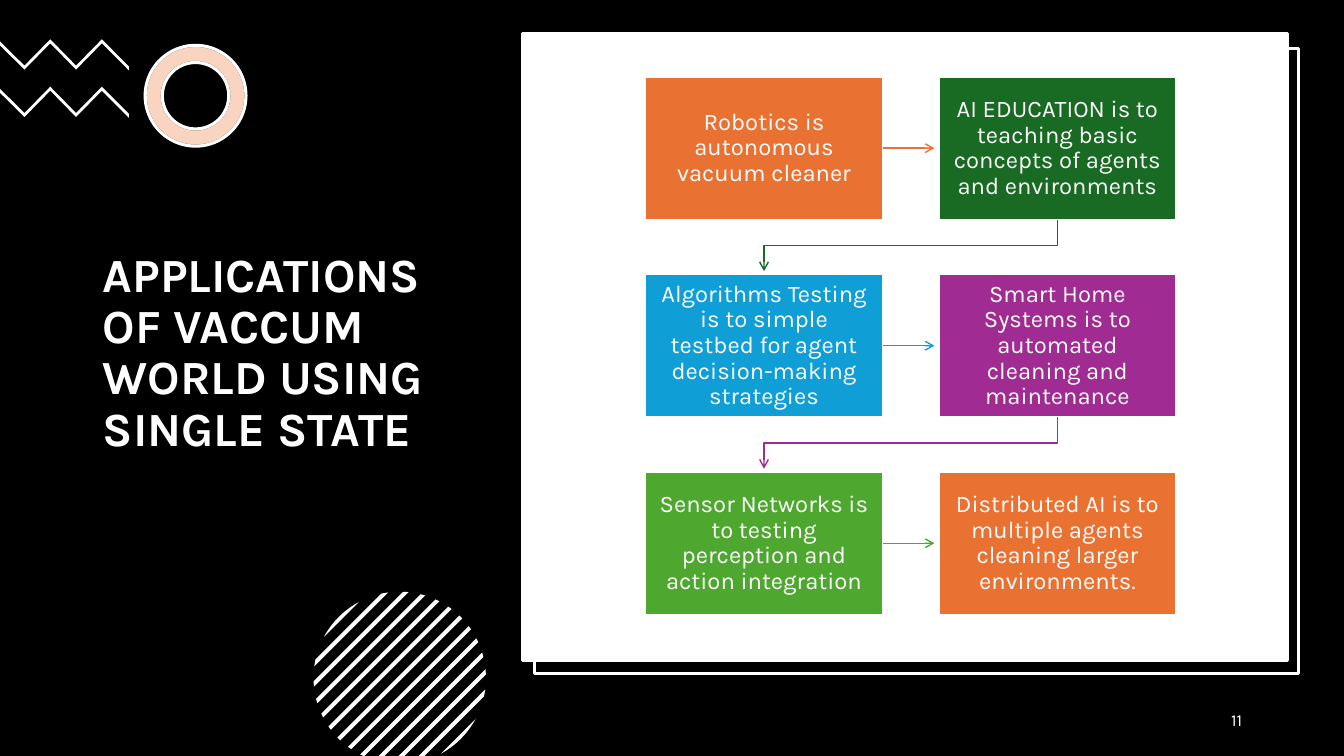
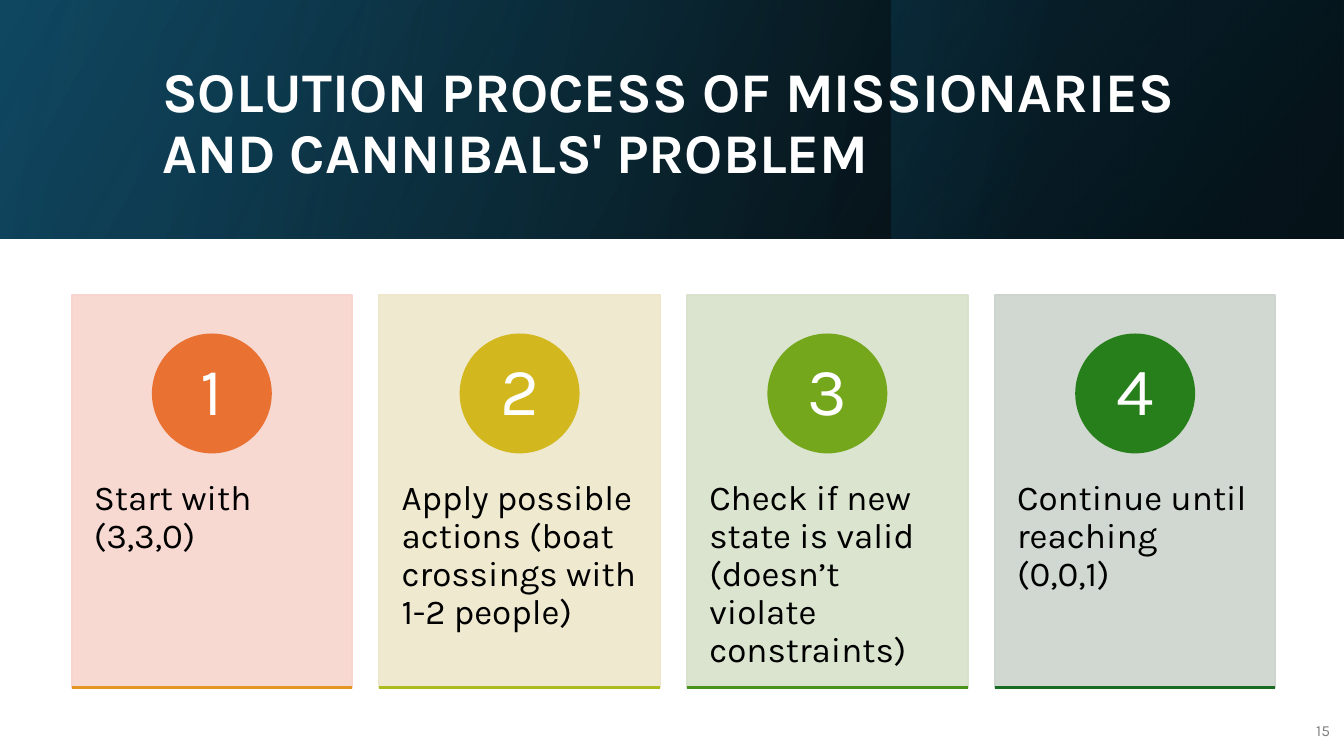
import math
from dataclasses import dataclass

import pptx
import pptx.dml.color
import pptx.enum.shapes
import pptx.enum.text
import pptx.oxml
import pptx.oxml.ns
import pptx.util

KIND = pptx.enum.shapes.MSO_SHAPE
LINE = pptx.enum.shapes.MSO_CONNECTOR
ALIGN = pptx.enum.text.PP_ALIGN
ANCHOR = pptx.enum.text.MSO_ANCHOR
NS = pptx.oxml.ns.nsdecls("a")


@dataclass(frozen=True)
class Theme:
    """Colours, font and type sizes of the deck."""
    font: str = "Karla"
    white: str = "FFFFFF"
    black: str = "000000"
    grey: str = "808080"
    orange: str = "E97132"
    green: str = "196B24"
    blue: str = "0F9ED5"
    purple: str = "A02B93"
    lime: str = "4EA72E"
    navy: str = "104862"
    teal: str = "156082"
    deep: str = "0B3041"
    tints: tuple = ("F7D5CE", "EEE7CB", "D8E2CA", "CCD4CD")
    dots: tuple = ("E97132", "D2B81E", "75A71D", "277F1B")
    bases: tuple = ("E49622", "ABBC1E", "49931D", "196B24")
    head: int = 34
    banner: int = 40
    step: int = 17
    card: int = 25
    count: int = 48
    foot: int = 12
    small: int = 11
    thick: float = 2.25
    edge: float = 1.5
    thin: float = 1


@dataclass(frozen=True)
class Box:
    """A rectangle in inches."""
    x: float
    y: float
    w: float
    h: float

    def share(self, x, y, w, h):
        """Return the box at the given shares of this one."""
        return Box(self.x + x * self.w, self.y + y * self.h, w * self.w, h * self.h)

    def cell(self, col, row, cols, rows, gapx=0, gapy=0):
        """Return one cell of an even grid in this box."""
        w = (self.w - gapx * (cols - 1)) / cols
        h = (self.h - gapy * (rows - 1)) / rows
        return Box(self.x + col * (w + gapx), self.y + row * (h + gapy), w, h)

    def emu(self):
        """Return left, top, width and height as lengths."""
        return [pptx.util.Inches(v) for v in (self.x, self.y, self.w, self.h)]


T = Theme()
PAGE = Box(0, 0, 13.33, 7.5)


def area(x, y, w, h):
    """Return a box given in percent of the slide."""
    return PAGE.share(x / 100, y / 100, w / 100, h / 100)


def rgb(code):
    """Return a colour from its hex code."""
    return pptx.dml.color.RGBColor.from_string(code)


def paint(shape, fill, line=None, width=T.edge, alpha=100):
    """Give a shape its fill, outline and opacity."""
    shape.shadow.inherit = False
    shape.fill.solid()
    shape.fill.fore_color.rgb = rgb(fill)
    if alpha < 100:
        tone = shape.element.spPr.find(".//" + pptx.oxml.ns.qn("a:srgbClr"))
        tone.append(pptx.oxml.parse_xml(f'<a:alpha {NS} val="{alpha * 1000}"/>'))
    if line:
        shape.line.color.rgb = rgb(line)
        shape.line.width = pptx.util.Pt(width)
    else:
        shape.line.fill.background()
    return shape


def block(slide, box, fill, line=None, width=T.edge, alpha=100, kind=KIND.RECTANGLE):
    """Add a filled preset shape."""
    return paint(slide.shapes.add_shape(kind, *box.emu()), fill, line, width, alpha)


def fade(slide, box, angle, stops):
    """Add a rectangle with a gradient of position, colour and opacity."""
    shape = block(slide, box, T.black)
    marks = "".join(
        f'<a:gs pos="{pos * 1000}"><a:srgbClr val="{code}">'
        f'<a:alpha val="{alpha * 1000}"/></a:srgbClr></a:gs>'
        for pos, code, alpha in stops)
    solid = shape.element.spPr.find(pptx.oxml.ns.qn("a:solidFill"))
    solid.getparent().replace(solid, pptx.oxml.parse_xml(
        f'<a:gradFill {NS}><a:gsLst>{marks}</a:gsLst>'
        f'<a:lin ang="{angle * 60000}" scaled="0"/></a:gradFill>'))


def poly(slide, points, fill):
    """Add a filled closed outline through points in inches."""
    first, *rest = [(pptx.util.Inches(x), pptx.util.Inches(y)) for x, y in points]
    form = slide.shapes.build_freeform(*first)
    form.add_line_segments(rest)
    paint(form.convert_to_shape(), fill)


def write(shape, text, size, color, align=ALIGN.LEFT, anchor=ANCHOR.MIDDLE,
          pad=(0.1, 0.05), bold=False):
    """Set and format the text of a shape."""
    frame = shape.text_frame
    frame.text = text
    frame.word_wrap = True
    frame.auto_size = pptx.enum.text.MSO_AUTO_SIZE.NONE
    frame.vertical_anchor = anchor
    frame.margin_left = frame.margin_right = pptx.util.Inches(pad[0])
    frame.margin_top = frame.margin_bottom = pptx.util.Inches(pad[1])
    para = frame.paragraphs[0]
    para.alignment = align
    para.line_spacing = 0.9
    font = para.runs[0].font
    font.name, font.size, font.bold = T.font, pptx.util.Pt(size), bold
    font.color.rgb = rgb(color)


def label(slide, box, *args, **kwargs):
    """Add a text box."""
    write(slide.shapes.add_textbox(*box.emu()), *args, **kwargs)


def title(slide, box, text, size):
    """Place the title above the shapes drawn so far."""
    head = slide.shapes.title
    head.left, head.top, head.width, head.height = box.emu()
    write(head, text, size, T.white, bold=True)
    slide.shapes.element.append(head.element)


def link(slide, kind, start, end, color, width, arrow=False):
    """Add a line, with an arrowhead if asked."""
    ends = [pptx.util.Inches(v) for v in (*start, *end)]
    line = slide.shapes.add_connector(kind, *ends)
    line.line.color.rgb = rgb(color)
    line.line.width = pptx.util.Pt(width)
    if arrow:
        line.element.spPr.find(pptx.oxml.ns.qn("a:ln")).append(
            pptx.oxml.parse_xml(f'<a:tailEnd {NS} type="arrow"/>'))
    line.element.spPr.append(pptx.oxml.parse_xml(f"<a:effectLst {NS}/>"))
    return line


def zigzag(slide, box):
    """Draw a white zigzag band."""
    top = [(0, 0.07), (0.19, 0.87), (0.39, 0), (0.59, 0.87), (0.79, 0), (1, 0.9)]
    low = [(x, y + 0.13) for x, y in reversed(top)]
    poly(slide, [(box.x + x * box.w, box.y + y * box.h) for x, y in top + low], T.white)


def ring(slide, box):
    """Draw a tinted ring on a white one."""
    for fill, line, alpha in ((T.white, T.black, 100), (T.orange, T.white, 30)):
        shape = block(slide, box, fill, line, T.thick, alpha, KIND.DONUT)
        shape.adjustments[0] = 0.17


def disc(slide, box):
    """Draw a disc of slanted stripes, cut at the foot of the slide."""
    rad = box.w / 2
    midx, midy = box.x + rad, box.y + rad

    def spot(turn):
        """Return a rim point, slid along its stripe onto the slide."""
        x = midx + rad * math.cos(turn)
        y = midy + rad * math.sin(turn)
        over = max(0, y - PAGE.h)
        return x + over, y - over

    for num in range(-6, 7):
        near, far = [
            math.acos(max(-1, min(1, (num * 0.14 + side) / rad)))
            for side in (-0.02, 0.02)]
        arc = [near + (far - near) * i / 6 for i in range(7)]
        turns = arc + [-a for a in reversed(arc)]
        poly(slide, [spot(math.pi / 4 + a) for a in turns], T.white)


def flow(slide, box, steps):
    """Draw steps in two columns, joined by arrows in reading order."""
    gapx, gapy = 0.55, 0.54
    cells = [box.cell(i % 2, i // 2, 2, 3, gapx, gapy) for i in range(len(steps))]
    for i, (cell, (text, color)) in enumerate(zip(cells, steps)):
        shape = block(slide, cell, color, T.white)
        write(shape, text, T.step, T.white, ALIGN.CENTER, pad=(0.12, 0.12))
        if i == len(steps) - 1:
            continue
        if i % 2 == 0:
            y, x = cell.y + cell.h / 2, cell.x + cell.w
            line = link(slide, LINE.STRAIGHT, (x, y), (x + gapx - 0.04, y),
                        color, T.thin, True)
            line.begin_connect(shape, 3)
        else:
            drop, span = gapy - 0.03, cell.w + gapx
            x = cell.x + cell.w / 2 - span / 2
            y = cell.y + cell.h + drop / 2
            line = link(slide, LINE.ELBOW, (x - drop / 2, y - span / 2),
                        (x + drop / 2, y + span / 2), color, T.thin, True)
            line.element.spPr.xfrm.set("rot", "5400000")


def card(slide, box, num, text, tint, dot, base):
    """Draw a numbered card with a coloured base line."""
    block(slide, box, tint, tint, alpha=90)
    label(slide, box.share(0, 0.38, 1, 0.6), text, T.card, T.black,
          anchor=ANCHOR.TOP, pad=(0.22, 0.36))
    side = 0.42 * box.w
    spot = Box(box.x + (box.w - side) / 2, box.y + 0.1 * box.h, side, side)
    write(block(slide, spot, dot, dot, kind=KIND.OVAL), str(num), T.count, T.white,
          ALIGN.CENTER, pad=(0.09, 0.01))
    foot = box.y + box.h
    link(slide, LINE.STRAIGHT, (box.x, foot), (box.x + box.w, foot), base, T.edge)


def uses(slide):
    """Build the slide of applications."""
    slide.background.fill.solid()
    slide.background.fill.fore_color.rgb = rgb(T.black)
    for top in (5.2, 11.47):
        zigzag(slide, area(0, top, 9.6, 4))
    ring(slide, area(10.8, 6, 7.5, 13.33))
    title(slide, area(6.9, 17.47, 26.26, 58.67),
          "APPLICATIONS OF VACCUM WORLD USING SINGLE STATE", T.head)
    disc(slide, area(23.33, 78.27, 12.83, 22.8))
    block(slide, area(39.76, 6.4, 56.86, 82.67), T.black, T.white, T.thick)
    block(slide, area(38.86, 4.4, 56.94, 82.93), T.white, T.white, T.thick)
    label(slide, area(70.67, 92.67, 22.5, 5.33), "11", T.foot, T.white, ALIGN.RIGHT)
    flow(slide, area(48, 10.13, 39.53, 71.2), [
        ("Robotics is autonomous vacuum cleaner", T.orange),
        ("AI EDUCATION is to teaching basic concepts of agents and environments", T.green),
        ("Algorithms Testing is to simple testbed for agent decision-making strategies",
         T.blue),
        ("Smart Home Systems is to automated cleaning and maintenance", T.purple),
        ("Sensor Networks is to testing perception and action integration", T.lime),
        ("Distributed AI is to multiple agents cleaning larger environments.", T.orange),
    ])


def process(slide):
    """Build the slide of solution steps."""
    band = area(0, 0, 100, 31.6)
    fade(slide, band, 30, [(0, T.navy, 100), (100, T.black, 96)])
    fade(slide, area(66.32, 0, 33.68, 31.6), 40, [(0, T.teal, 48), (81, T.deep, 68)])
    fade(slide, band, 10, [(1, T.navy, 16), (77, T.black, 45)])
    title(slide, area(11.33, 5.07, 79.74, 22.93),
          "SOLUTION PROCESS OF MISSIONARIES AND CANNIBALS' PROBLEM", T.banner)
    label(slide, area(96.02, 94.13, 3.68, 5.33), "15", T.small, T.grey, ALIGN.RIGHT)
    texts = [
        "Start with (3,3,0)",
        "Apply possible actions (boat crossings with 1-2 people)",
        "Check if new state is valid (doesn’t violate constraints)",
        "Continue until reaching (0,0,1)",
    ]
    deck = area(5.33, 39.07, 89.57, 51.87)
    for i, row in enumerate(zip(texts, T.tints, T.dots, T.bases)):
        card(slide, deck.cell(i, 0, len(texts), 1, 0.27), i + 1, *row)


def main():
    """Build and save the slides."""
    prs = pptx.Presentation()
    prs.slide_width, prs.slide_height = PAGE.emu()[2:]
    for build in (uses, process):
        build(prs.slides.add_slide(prs.slide_layouts[5]))
    prs.save("out.pptx")


if __name__ == "__main__":
    main()
